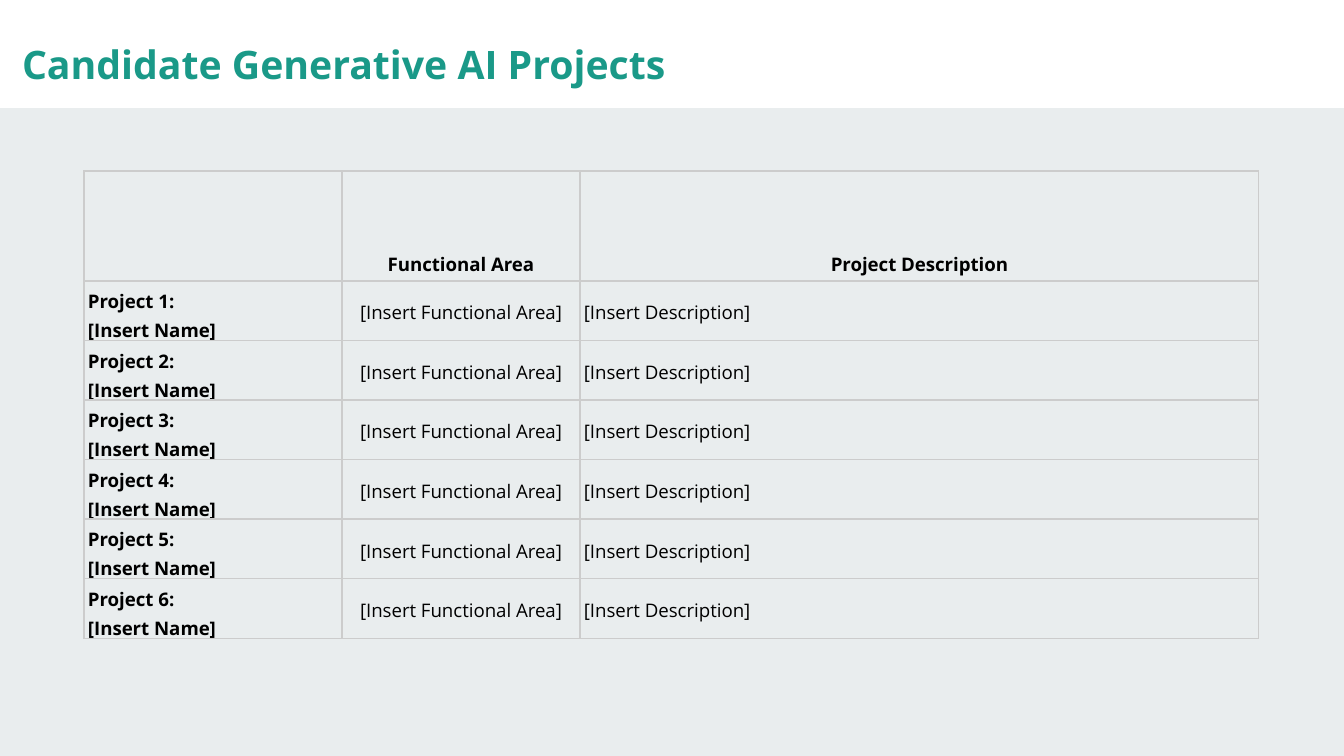
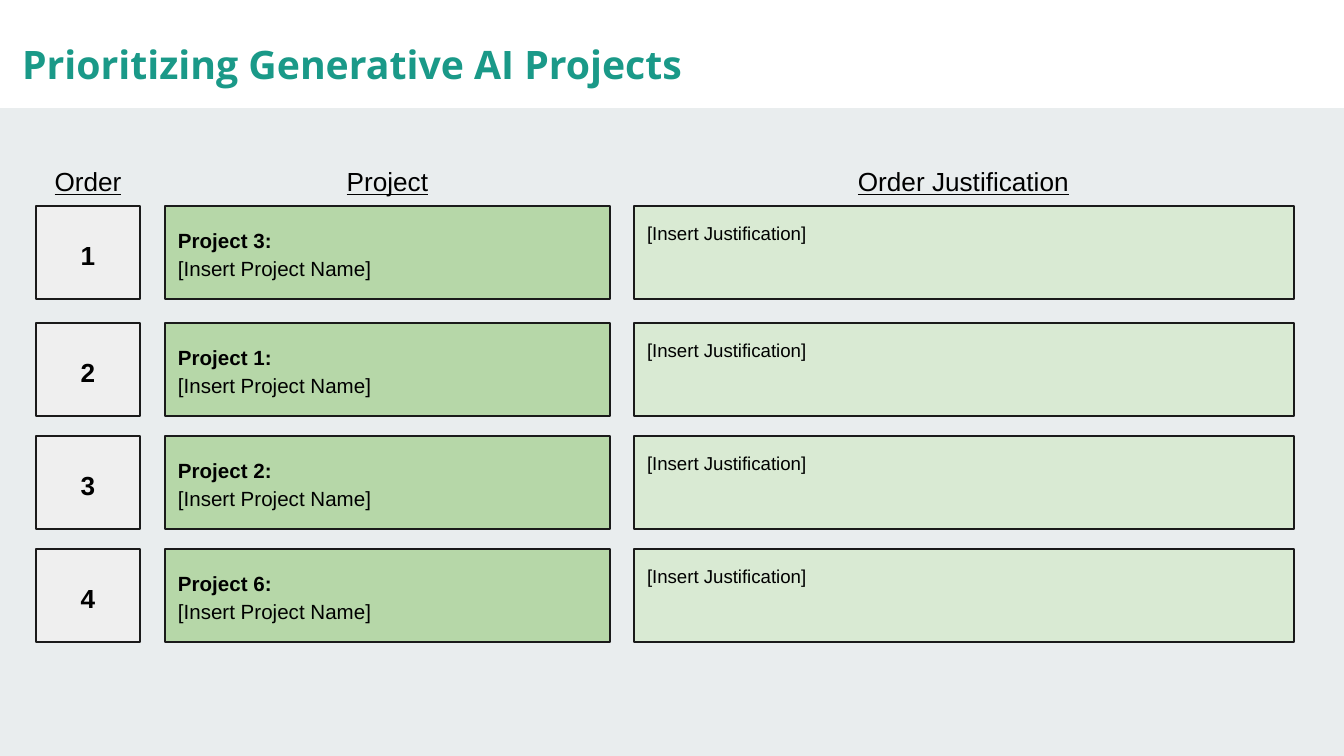
from dataclasses import dataclass

from lxml import etree
from pptx import Presentation
from pptx import util as u
from pptx.dml.color import RGBColor
from pptx.enum import shapes, text
from pptx.oxml.ns import qn

SLIDE_W, SLIDE_H = 1344, 756
EMU_PER_PX = 9144000 / SLIDE_W
BAND_H = 108
INSET, CELL_INSET = 13, 4
SPACING = 1.15
COLORS = {
    "ground": "E9EDEE",
    "band": "FFFFFF",
    "title": "1A9988",
    "ink": "000000",
    "outline": "1A1A1A",
    "grid": "CCCCCC",
    "order": "EFEFEF",
    "project": "B6D7A8",
    "justification": "D9EAD3",
}
LEFT, CENTER = text.PP_ALIGN.LEFT, text.PP_ALIGN.CENTER
TOP, MIDDLE, BOTTOM = (text.MSO_ANCHOR.TOP, text.MSO_ANCHOR.MIDDLE,
                       text.MSO_ANCHOR.BOTTOM)


@dataclass(frozen=True)
class Style:
    size: int
    font: str = "Arial"
    color: str = "ink"
    bold: bool = False
    underline: bool = False
    align: text.PP_ALIGN = LEFT
    anchor: text.MSO_ANCHOR = TOP
    spacing: float = SPACING


@dataclass(frozen=True)
class Line:
    words: str
    style: Style


@dataclass(frozen=True)
class Box:
    left: int
    top: int
    width: int
    height: int


@dataclass(frozen=True)
class Column:
    heading: str
    heading_width: int
    left: int
    width: int
    fill: str


TITLE = Style(21, "Open Sans", "title", bold=True)
TABLE_HEAD = Style(10, "Open Sans", bold=True, align=CENTER, anchor=BOTTOM)
TABLE_NAME = Style(10, "Open Sans", bold=True, anchor=MIDDLE)
TABLE_AREA = Style(10, "Open Sans", align=CENTER, anchor=MIDDLE)
TABLE_DESCRIPTION = Style(10, "Open Sans", anchor=MIDDLE)
HEADING = Style(14, underline=True, align=CENTER, anchor=MIDDLE, spacing=1.0)
ORDER = Style(14, bold=True, align=CENTER, anchor=MIDDLE)
PROJECT = Style(11, bold=True, anchor=MIDDLE)
PROJECT_NAME = Style(11, anchor=MIDDLE)
JUSTIFICATION = Style(10)

TITLE_BOX = Box(9, 20, 1134, 50)
TABLE_LEFT, TABLE_TOP = 84, 171
TABLE_COLUMNS = [258, 238, 229, 216, 234]
HEAD_ROW_H, PROJECT_ROW_H = 110, 59
PROJECT_COUNT = 6

RANK_COLUMNS = [
    Column("Order", 104, 36, 104, "order"),
    Column("Project", 129, 165, 445, "project"),
    Column("Order Justification", 255, 634, 660, "justification"),
]
HEADING_TOP, HEADING_H = 156, 50
RANK_TOPS = [206, 323, 436, 549]
RANK_H = 93
RANKED_PROJECTS = [3, 1, 2, 6]


def px(length: int) -> u.Emu:
    return u.Emu(round(length * EMU_PER_PX))


def rgb(name: str) -> RGBColor:
    return RGBColor.from_string(COLORS[name])


def place(box: Box) -> list[u.Emu]:
    return [px(v) for v in (box.left, box.top, box.width, box.height)]


def set_all(target, values: dict) -> None:
    for key, value in values.items():
        setattr(target, key, value)


def margins(inset: int) -> dict:
    return {f"margin_{side}": px(inset)
            for side in ("left", "top", "right", "bottom")}


def write(frame, lines: list[Line]) -> None:
    for index, line in enumerate(lines):
        paragraph = frame.add_paragraph() if index else frame.paragraphs[0]
        style = line.style
        set_all(paragraph, {"alignment": style.align,
                            "line_spacing": style.spacing})
        run = paragraph.add_run()
        run.text = line.words
        set_all(run.font, {"name": style.font, "size": u.Pt(style.size),
                           "bold": style.bold, "underline": style.underline})
        run.font.color.rgb = rgb(style.color)


def fill_frame(frame, lines: list[Line]) -> None:
    set_all(frame, {"word_wrap": True, **margins(INSET),
                    "vertical_anchor": lines[0].style.anchor})
    write(frame, lines)


def add_label(slide, box: Box, line: Line) -> None:
    fill_frame(slide.shapes.add_textbox(*place(box)).text_frame, [line])


def add_rect(slide, box: Box, fill: str):
    """Add a filled rectangle with neither outline nor shadow."""
    rect = slide.shapes.add_shape(shapes.MSO_SHAPE.RECTANGLE, *place(box))
    rect.shadow.inherit = False
    rect.fill.solid()
    rect.fill.fore_color.rgb = rgb(fill)
    rect.line.fill.background()
    return rect


def add_card(slide, box: Box, fill: str, lines: list[Line]) -> None:
    card = add_rect(slide, box, fill)
    card.line.color.rgb = rgb("outline")
    card.line.width = u.Pt(0.75)
    fill_frame(card.text_frame, lines)


def add_titled_slide(deck, title: str):
    slide = deck.slides.add_slide(deck.slide_layouts[6])
    slide.background.fill.solid()
    slide.background.fill.fore_color.rgb = rgb("ground")
    add_rect(slide, Box(0, 0, SLIDE_W, BAND_H), "band")
    add_label(slide, TITLE_BOX, Line(title, TITLE))
    return slide


def format_cell(cell) -> None:
    """Give a cell thin grid borders and no fill."""
    properties = cell._tc.get_or_add_tcPr()
    for side in ("a:lnL", "a:lnR", "a:lnT", "a:lnB"):
        border = etree.SubElement(properties, qn(side), w=str(u.Pt(0.75)))
        solid = etree.SubElement(border, qn("a:solidFill"))
        etree.SubElement(solid, qn("a:srgbClr"), val=COLORS["grid"])
    cell.fill.background()


def write_cell(cell, lines: list[Line]) -> None:
    set_all(cell, {**margins(CELL_INSET),
                   "vertical_anchor": lines[0].style.anchor})
    write(cell.text_frame, lines)


def build_candidates(deck) -> None:
    slide = add_titled_slide(deck, "Candidate Generative AI Projects")
    row_heights = [HEAD_ROW_H] + [PROJECT_ROW_H] * PROJECT_COUNT
    box = Box(TABLE_LEFT, TABLE_TOP, sum(TABLE_COLUMNS), sum(row_heights))
    projects = slide.shapes.add_table(
        len(row_heights), len(TABLE_COLUMNS), *place(box)).table
    set_all(projects, {"first_row": False, "horz_banding": False})
    for column, width in zip(projects.columns, TABLE_COLUMNS):
        column.width = px(width)
    for row, height in zip(projects.rows, row_heights):
        row.height = px(height)
    for cell in projects.iter_cells():
        format_cell(cell)

    contents = [[[], [Line("Functional Area", TABLE_HEAD)],
                 [Line("Project Description", TABLE_HEAD)]]]
    for number in range(1, PROJECT_COUNT + 1):
        contents.append([
            [Line(f"Project {number}:", TABLE_NAME),
             Line("[Insert Name]", TABLE_NAME)],
            [Line("[Insert Functional Area]", TABLE_AREA)],
            [Line("[Insert Description]", TABLE_DESCRIPTION)],
        ])
    for r, row_contents in enumerate(contents):
        projects.cell(r, 2).merge(projects.cell(r, len(TABLE_COLUMNS) - 1))
        for c, lines in enumerate(row_contents):
            if lines:
                write_cell(projects.cell(r, c), lines)


def build_priorities(deck) -> None:
    slide = add_titled_slide(deck, "Prioritizing Generative AI Projects")
    for column in RANK_COLUMNS:
        left = column.left + (column.width - column.heading_width) // 2
        add_label(slide,
                  Box(left, HEADING_TOP, column.heading_width, HEADING_H),
                  Line(column.heading, HEADING))
    ranking = zip(RANK_TOPS, RANKED_PROJECTS)
    for rank, (top, project) in enumerate(ranking, start=1):
        contents = [
            [Line(str(rank), ORDER)],
            [Line(f"Project {project}:", PROJECT),
             Line("[Insert Project Name]", PROJECT_NAME)],
            [Line("[Insert Justification]", JUSTIFICATION)],
        ]
        for column, lines in zip(RANK_COLUMNS, contents):
            add_card(slide, Box(column.left, top, column.width, RANK_H),
                     column.fill, lines)


def main() -> None:
    deck = Presentation()
    set_all(deck, {"slide_width": px(SLIDE_W), "slide_height": px(SLIDE_H)})
    build_candidates(deck)
    build_priorities(deck)
    deck.save("out.pptx")


if __name__ == "__main__":
    main()
